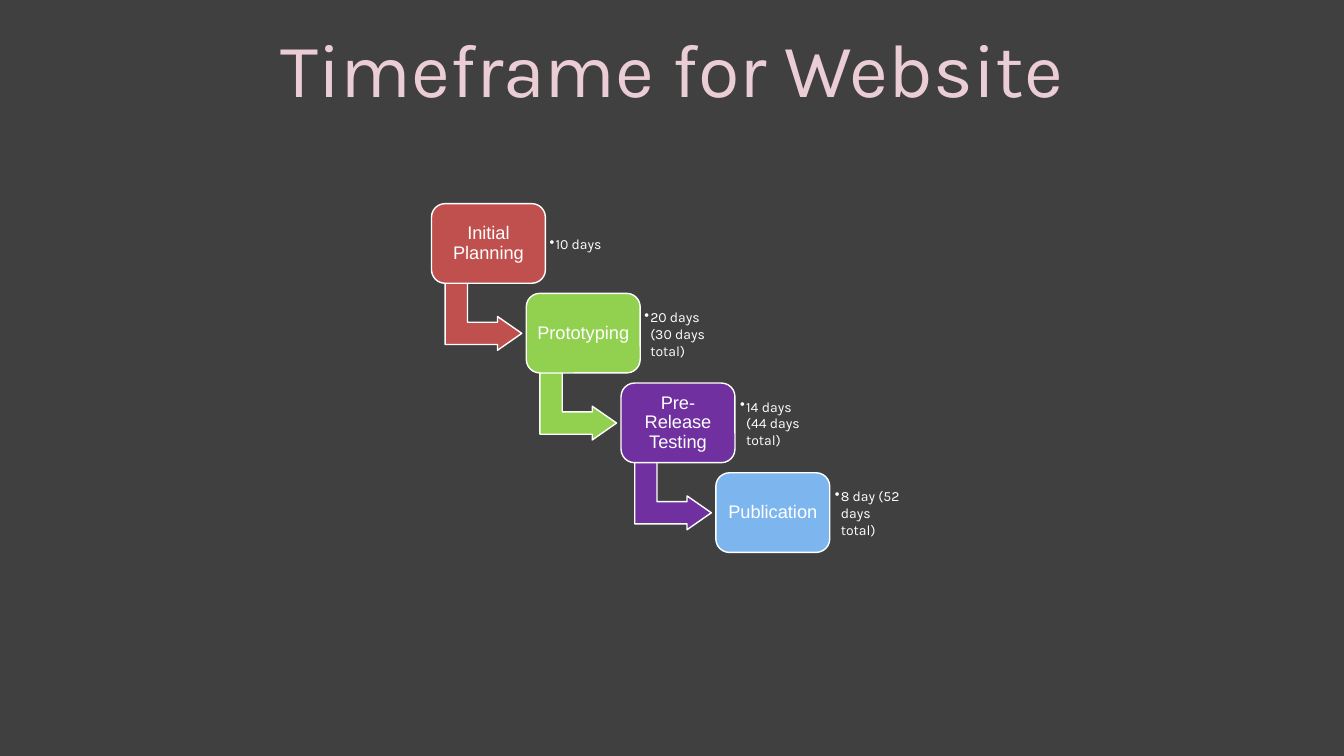
from lxml import etree
from pptx import Presentation
from pptx.dml.color import RGBColor
from pptx.enum.shapes import MSO_SHAPE
from pptx.enum.text import MSO_ANCHOR, PP_ALIGN
from pptx.oxml.ns import qn
from pptx.util import Inches, Pt

ROUNDED = MSO_SHAPE.ROUNDED_RECTANGLE
BENT_ARROW = MSO_SHAPE.BENT_UP_ARROW
MIDDLE = MSO_ANCHOR.MIDDLE
CENTER = PP_ALIGN.CENTER

BACKGROUND = RGBColor(0x40, 0x40, 0x40)
PINK = RGBColor(0xEB, 0xCE, 0xD5)
WHITE = RGBColor(0xFF, 0xFF, 0xFF)
RED = RGBColor(0xC0, 0x50, 0x4D)
GREEN = RGBColor(0x92, 0xD0, 0x50)
PURPLE = RGBColor(0x70, 0x30, 0xA0)
BLUE = RGBColor(0x7D, 0xB6, 0xEF)

STAGES = [
    ("Initial Planning", "10 days", RED, 0.04),
    ("Prototyping", "20 days (30 days total)", GREEN, 0.04),
    ("Pre-Release Testing", "14 days (44 days total)", PURPLE, 0.05),
    ("Publication", "8 day (52 days total)", BLUE, 0.05),
]
LEFT, TOP = 4.28, 2.02
STEP_X, STEP_Y = 0.94, 0.89
BOX_WIDTH, BOX_HEIGHT = 1.13, 0.79


def add_stage_shape(kind, left, top, width, height, color, adjustments):
    shape = slide.shapes.add_shape(
        kind, Inches(left), Inches(top), Inches(width), Inches(height))
    shape.shadow.inherit = False
    shape.fill.solid()
    shape.fill.fore_color.rgb = color
    shape.line.color.rgb = WHITE
    shape.line.width = Pt(1)
    for index, value in enumerate(adjustments):
        shape.adjustments[index] = value
    return shape


def set_text(shape, text, font_name, size, color, inset):
    frame = shape.text_frame
    frame.text = text
    frame.word_wrap = True
    frame.vertical_anchor = MIDDLE
    frame.margin_left = frame.margin_right = Inches(inset)
    frame.margin_top = frame.margin_bottom = Inches(inset)
    paragraph = frame.paragraphs[0]
    font = paragraph.runs[0].font
    font.name = font_name
    font.size = Pt(size)
    font.color.rgb = color
    return paragraph


presentation = Presentation()
presentation.slide_width = Inches(13.33)
presentation.slide_height = Inches(7.5)
slide = presentation.slides.add_slide(presentation.slide_layouts[6])
slide.background.fill.solid()
slide.background.fill.fore_color.rgb = BACKGROUND

title = slide.shapes.add_textbox(Inches(0), Inches(0.16), Inches(13.33), Inches(1.01))
set_text(title, "Timeframe for Website", "Karla", 54, PINK, 0.05).alignment = CENTER

for number, (name, duration, color, inset) in enumerate(STAGES):
    left = LEFT + number * STEP_X
    top = TOP + number * STEP_Y

    if number < len(STAGES) - 1:
        arrow = add_stage_shape(BENT_ARROW, left + 0.18, top + 0.74, 0.67, 0.76,
                                color, [0.33, 0.25, 0.36])
        arrow.rotation = 90

    box = add_stage_shape(ROUNDED, left, top, BOX_WIDTH, BOX_HEIGHT, color, [0.17])
    paragraph = set_text(box, name, "Arial", 13, WHITE, 0.05)
    paragraph.alignment = CENTER
    paragraph.line_spacing = 0.9

    note = slide.shapes.add_textbox(
        Inches(left + BOX_WIDTH), Inches(top + 0.08), Inches(0.82), Inches(0.64))
    paragraph = set_text(note, duration, "Karla", 10, WHITE, inset)
    properties = paragraph._p.get_or_add_pPr()
    properties.set("marL", str(Inches(0.06)))
    properties.set("indent", str(-Inches(0.06)))
    etree.SubElement(properties, qn("a:buChar")).set("char", "•")

presentation.save("out.pptx")
